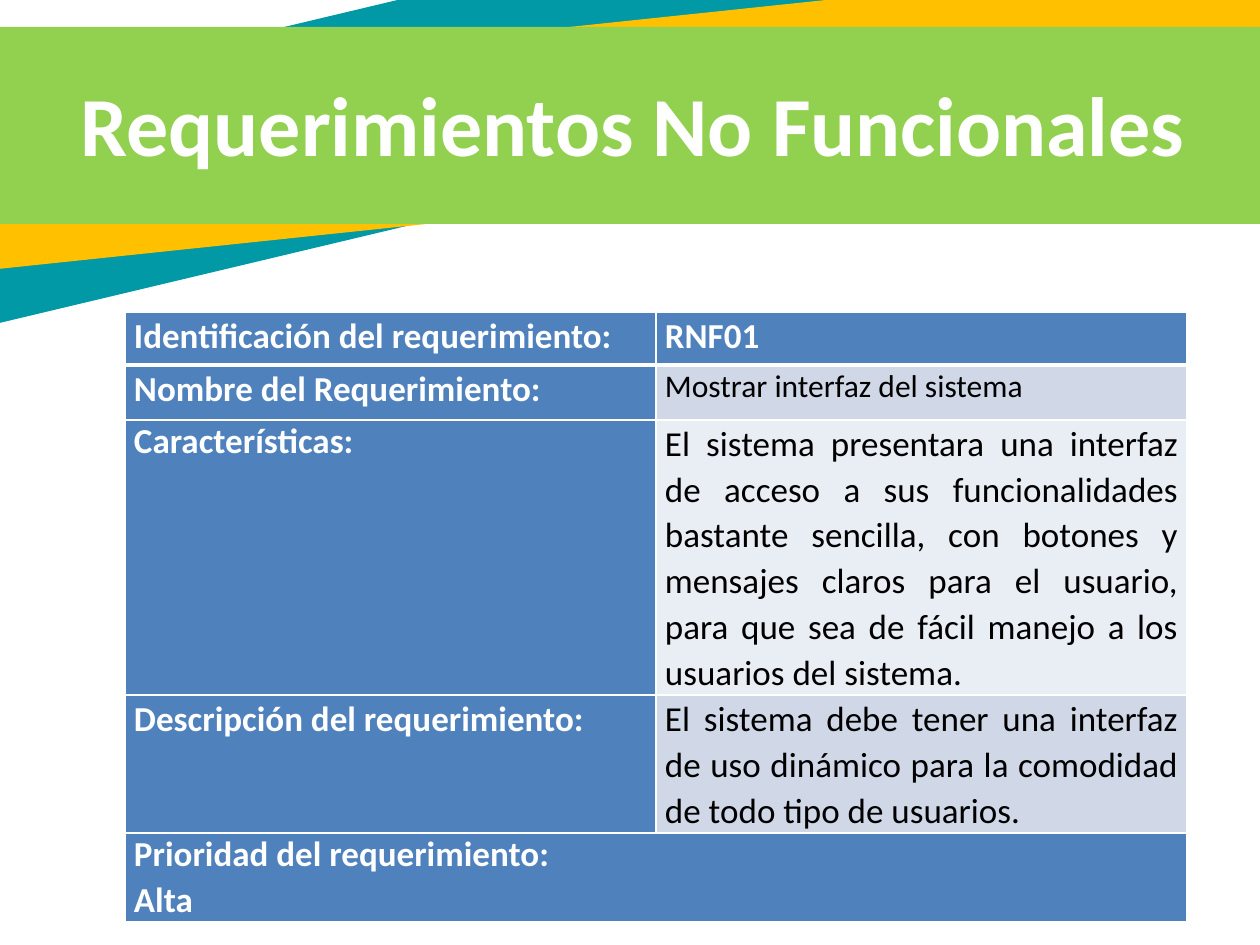
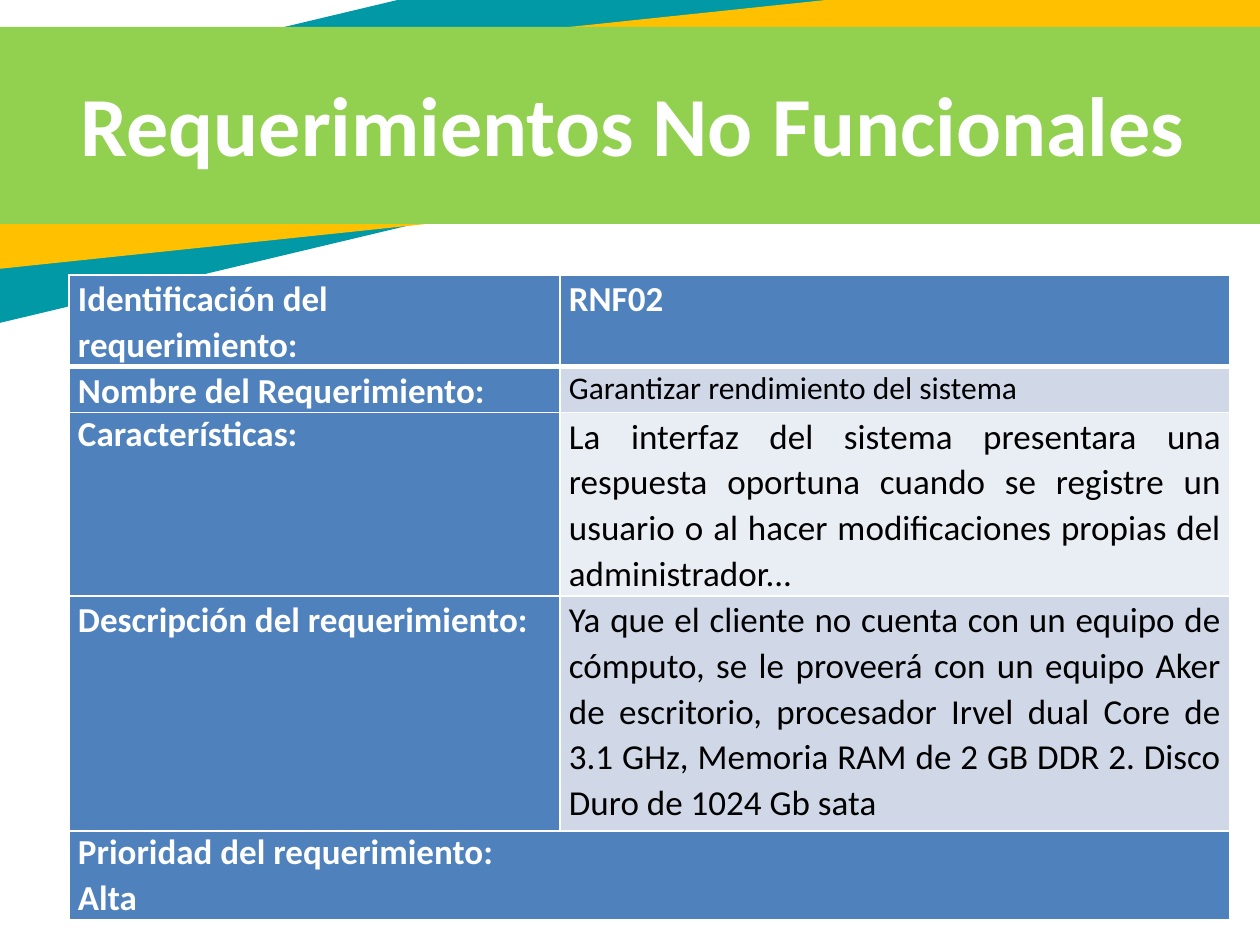
from lxml.etree import SubElement
from pptx import Presentation
from pptx.dml.color import RGBColor
from pptx.enum.shapes import MSO_SHAPE
from pptx.enum.text import MSO_ANCHOR, MSO_AUTO_SIZE, PP_ALIGN
from pptx.oxml.ns import qn
from pptx.util import Pt

PX = 914400 // 126
FONT = "Calibri"
WHITE = RGBColor(0xFF, 0xFF, 0xFF)
BLACK = RGBColor(0x00, 0x00, 0x00)
TEAL = RGBColor(0x00, 0x99, 0xA5)
AMBER = RGBColor(0xFF, 0xC0, 0x00)
GREEN = RGBColor(0x92, 0xD0, 0x50)
BLUE = RGBColor(0x4F, 0x81, 0xBD)
PALE = RGBColor(0xD0, 0xD8, 0xE8)
PALER = RGBColor(0xE9, 0xED, 0xF4)

TITLE = "Requerimientos No Funcionales"
TITLE_BOX = (68, 62, 1331, 122)
# Box, rotation and colour of each band, from back to front
BANDS = [
    ((-316, -23, 1646, 222), 346.6, TEAL),
    ((-139, 25, 1465, 181), 354, AMBER),
    ((-134, 27, 1465, 197), 0, GREEN),
]
LABELS = ["Identificación del requerimiento:", "Nombre del Requerimiento:",
          "Características:", "Descripción del requerimiento:"]
PRIORITY = ["Prioridad del requerimiento:", "Alta"]

REQUIREMENTS = [
    dict(origin=(125, 312), columns=[531, 531], rows=[53, 55, 275, 138, 88],
         values=["RNF01", "Mostrar interfaz del sistema",
                 "El sistema presentara una interfaz de acceso a sus funcionalidades "
                 "bastante sencilla, con botones y mensajes claros para el usuario, "
                 "para que sea de fácil manejo a los usuarios del sistema.",
                 "El sistema debe tener una interfaz de uso dinámico para la "
                 "comodidad de todo tipo de usuarios."]),
    dict(origin=(69, 275), columns=[491, 670], rows=[91, 46, 183, 235, 89],
         values=["RNF02", "Garantizar rendimiento del sistema",
                 "La interfaz del sistema presentara una respuesta oportuna cuando "
                 "se registre un usuario o al hacer modificaciones propias del "
                 "administrador...",
                 "Ya que el cliente no cuenta con un equipo de cómputo, se le "
                 "proveerá con un equipo Aker de escritorio, procesador Irvel dual "
                 "Core de 3.1 GHz, Memoria RAM de 2 GB DDR 2. Disco Duro de 1024 "
                 "Gb sata"]),
]


def scale(box):
    return [length * PX for length in box]


def write(paragraph, text, size=20, color=WHITE, bold=True,
          align=PP_ALIGN.LEFT, spacing=None):
    run = paragraph.add_run()
    run.text = text
    run.font.name, run.font.size, run.font.bold = FONT, Pt(size), bold
    run.font.color.rgb = color
    paragraph.alignment = align
    if spacing:
        paragraph.line_spacing = spacing


def add_bands(slide):
    """Draw the header bands and move them to the layout, behind its title."""
    layout_tree = slide.slide_layout.shapes.element
    for index, (box, rotation, color) in enumerate(BANDS):
        band = slide.shapes.add_shape(MSO_SHAPE.RECTANGLE, *scale(box))
        band.rotation = rotation
        band.shadow.inherit = False
        band.fill.solid()
        band.fill.fore_color.rgb = color
        band.line.fill.background()
        band.element.nvSpPr.cNvPr.id = 20 + index
        layout_tree.insert(2 + index, band.element)


def set_title(slide):
    title = slide.shapes.title
    title.left, title.top, title.width, title.height = scale(TITLE_BOX)
    frame = title.text_frame
    frame.auto_size = MSO_AUTO_SIZE.NONE
    frame.vertical_anchor = MSO_ANCHOR.MIDDLE
    write(frame.paragraphs[0], TITLE, size=48)


def format_cell(cell, color, top=1, bottom=1):
    properties = cell._tc.get_or_add_tcPr()
    for side, width in (("L", 1), ("R", 1), ("T", top), ("B", bottom)):
        border = SubElement(properties, qn(f"a:ln{side}"), w=str(Pt(width)))
        SubElement(SubElement(border, qn("a:solidFill")), qn("a:srgbClr"), val=str(WHITE))
    cell.fill.solid()
    cell.fill.fore_color.rgb = color
    cell.margin_left = cell.margin_right = 9 * PX
    cell.margin_top = cell.margin_bottom = 0


def add_requirement_table(slide, origin, columns, rows, values):
    box = (*origin, sum(columns), sum(rows))
    table = slide.shapes.add_table(len(rows), 2, *scale(box)).table
    for column, width in zip(table.columns, columns):
        column.width = width * PX
    for row, height in zip(table.rows, rows):
        row.height = height * PX

    # Fills and borders: the header has a thick rule below it
    value_fills = [BLUE, PALE, PALER, PALE, BLUE]
    for index, value_fill in enumerate(value_fills):
        rules = dict(top=3 if index == 1 else 1, bottom=3 if index == 0 else 1)
        format_cell(table.cell(index, 0), BLUE, **rules)
        format_cell(table.cell(index, 1), value_fill, **rules)

    # Labels and values
    value_formats = [{}, dict(size=18, color=BLACK, bold=False)]
    value_formats += [dict(color=BLACK, bold=False, align=PP_ALIGN.JUSTIFY)] * 2
    for index, (label, value) in enumerate(zip(LABELS, values)):
        label_cell, value_cell = table.cell(index, 0), table.cell(index, 1)
        write(label_cell.text_frame.paragraphs[0], label,
              spacing=None if index == 2 else 1.07)
        write(value_cell.text_frame.paragraphs[0], value, spacing=1.07,
              **value_formats[index])

    # Priority across both columns
    last = len(rows) - 1
    priority = table.cell(last, 0)
    priority.merge(table.cell(last, 1))
    write(priority.text_frame.paragraphs[0], PRIORITY[0])
    write(priority.text_frame.add_paragraph(), PRIORITY[1], spacing=1.07)


def main():
    presentation = Presentation()
    presentation.slide_width, presentation.slide_height = scale((1260, 945))
    layout = presentation.slide_layouts.get_by_name("Title Only")
    for index, requirement in enumerate(REQUIREMENTS):
        slide = presentation.slides.add_slide(layout)
        if index == 0:
            add_bands(slide)
        set_title(slide)
        add_requirement_table(slide, **requirement)
    presentation.save("out.pptx")


if __name__ == "__main__":
    main()
